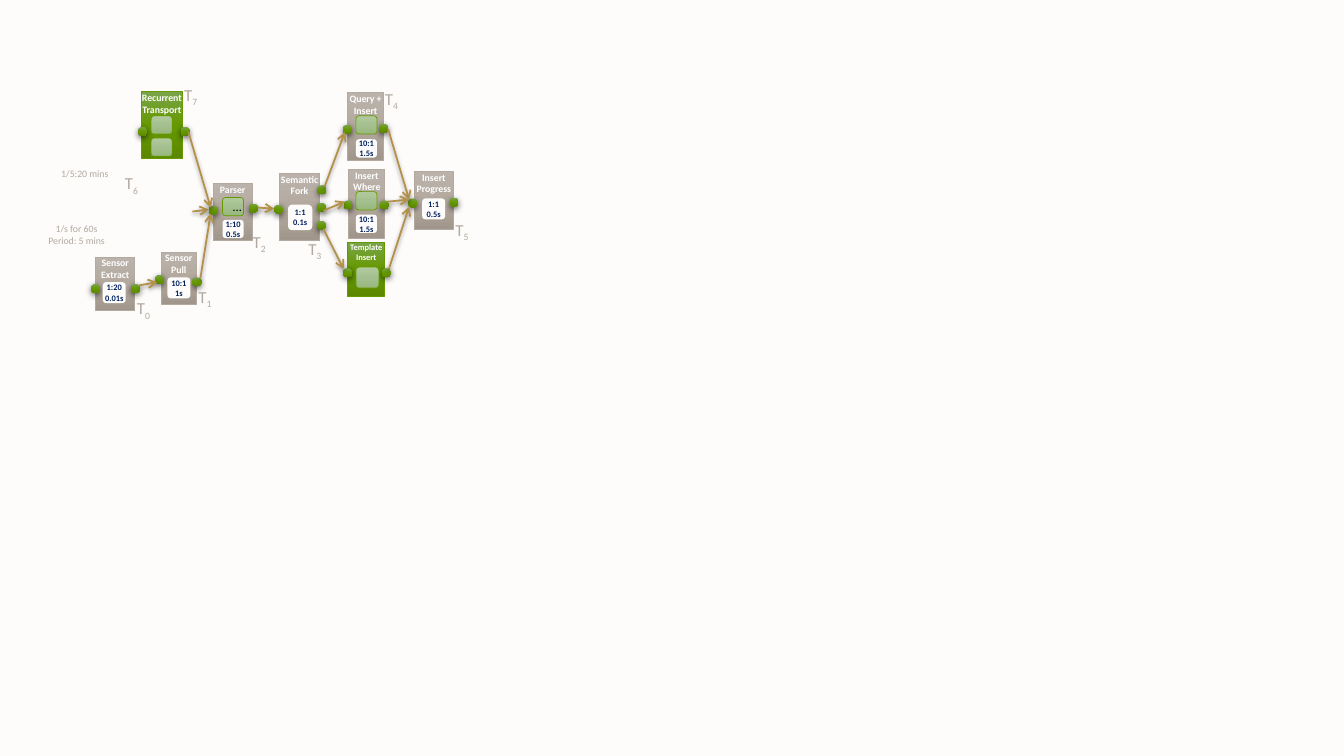
from lxml import etree
from pptx import Presentation
from pptx.dml.color import RGBColor as Rgb
from pptx.enum.shapes import MSO_CONNECTOR as Link, MSO_SHAPE as Form
from pptx.enum.text import MSO_ANCHOR as Anchor, MSO_AUTO_SIZE as Fit, PP_ALIGN as Align
from pptx.oxml.ns import qn
from pptx.util import Cm, Pt

FONT = "Calibri"
PAPER, NAVY, GOLD, WHITE = "FDFCFA", "002060", "B49048", "FFFFFF"
GRAY, GREEN = "B2A9A0", "669900"
# Gradient stops, top to bottom
STONE = ("BBB3AB", "B3A99F", "A0968C")
LEAF = ("79A44B", "669900", "5B8800")
MINT = ("B1CA9D", "A5C090", "97B87C")

DOT = 0.23
SMALL, LARGE = (0.53, 0.46), (0.58, 0.53)

# Title, left, top, width, height
STAGES = [
    ("Semantic Fork", 7.04, 4.37, 1.02, 1.7),
    ("Sensor Extract", 2.41, 6.48, 0.99, 1.35),
    ("Sensor Pull", 4.06, 6.35, 0.89, 1.32),
    ("Parser", 5.38, 4.62, 0.97, 1.45),
    ("Query + Insert", 8.76, 2.34, 0.91, 1.7),
    ("Insert Where", 8.79, 4.27, 0.91, 1.73),
    ("Insert Progress", 10.44, 4.32, 0.99, 1.47),
]
# Left and top of each port
PORTS = [
    (2.29, 7.16), (3.3, 7.16), (3.91, 6.93), (4.85, 6.99),
    (3.48, 3.2), (4.55, 3.2), (5.26, 5.18), (6.27, 5.13),
    (6.91, 5.16), (8, 4.67), (7.98, 5.11), (7.98, 5.56),
    (8.64, 3.15), (9.55, 3.12), (8.66, 5.05), (9.58, 5.05),
    (8.64, 6.76), (9.63, 6.76), (10.29, 5), (11.33, 4.98),
]
# Start x, y and end x, y
FLOWS = [
    (3.51, 7.19, 3.96, 7.11), (5.05, 7.01, 5.31, 5.38),
    (4.85, 5.33, 5.26, 5.28), (4.75, 3.33, 5.31, 5.23),
    (6.5, 5.23, 6.91, 5.26), (8.18, 4.7, 8.69, 3.33),
    (8.15, 5.31, 8.69, 5.08), (8.15, 5.77, 8.66, 6.78),
    (9.78, 3.25, 10.31, 5.03), (9.78, 5.08, 10.31, 5.03),
    (9.8, 6.78, 10.31, 5.21),
]
# Left, top, size
SLOTS = [
    (3.81, 2.92, SMALL), (3.81, 3.48, SMALL), (8.97, 2.92, SMALL),
    (8.97, 4.83, SMALL), (8.97, 6.73, LARGE),
]
# Ratio, time, left, top, size
RATES = [
    ("1:1", "0.1s", 7.26, 5.16, (0.61, 0.64)),
    ("1:10", "0.5s", 5.61, 5.54, SMALL),
    ("10:1", "1s", 4.22, 6.99, LARGE),
    ("1:20", "0.01s", 2.59, 7.11, LARGE),
    ("10:1", "1.5s", 8.97, 3.51, SMALL),
    ("10:1", "1.5s", 8.97, 5.41, SMALL),
    ("1:1", "0.5s", 10.64, 5, LARGE),
]
# Left and top of T0 to T7
TAGS = [
    (3.2, 7.39), (4.75, 7.09), (6.12, 5.72), (7.52, 5.89),
    (9.45, 2.11), (11.23, 5.41), (2.9, 4.24), (4.39, 2.01),
]


def tint(code):
    return Rgb.from_string(code)


def shade(shape, stops):
    """Fill a shape with a gradient that runs from top to bottom."""
    shape.fill.background()
    props = shape._element.spPr
    grad = etree.Element(qn("a:gradFill"), rotWithShape="1")
    chain = etree.SubElement(grad, qn("a:gsLst"))
    for place, code in zip((0, 50000, 100000), stops):
        stop = etree.SubElement(chain, qn("a:gs"), pos=str(place))
        etree.SubElement(stop, qn("a:srgbClr"), val=code)
    etree.SubElement(grad, qn("a:lin"), ang="5400000", scaled="0")
    props.replace(props.find(qn("a:noFill")), grad)


def cast(effects, alpha, blur, drop):
    """Add a black shadow that falls straight down."""
    outer = etree.SubElement(
        effects, qn("a:outerShdw"), blurRad=str(Pt(blur)), dist=str(Pt(drop)),
        dir="5400000", algn="ctr", rotWithShape="0")
    black = etree.SubElement(outer, qn("a:srgbClr"), val="000000")
    etree.SubElement(black, qn("a:alpha"), val=str(alpha * 1000))


def style(para, size, code, bold=False, align=Align.CENTER):
    para.alignment = align
    font = para.font
    font.name, font.size, font.bold = FONT, Pt(size), bold
    font.color.rgb = tint(code)


def write(frame, lines, size, code, bold=False):
    frame.text = "\n".join(lines)
    for para in frame.paragraphs:
        style(para, size, code, bold)


def add_form(slide, form, left, top, wide, high, fill, edge=None):
    shape = slide.shapes.add_shape(form, Cm(left), Cm(top), Cm(wide), Cm(high))
    shape.shadow.inherit = False
    if isinstance(fill, str):
        shape.fill.solid()
        shape.fill.fore_color.rgb = tint(fill)
    else:
        shade(shape, fill)
    if edge:
        shape.line.color.rgb = tint(edge)
        shape.line.width = Pt(0.5)
    else:
        shape.line.fill.background()
    return shape


def trim(shape, anchor):
    frame = shape.text_frame
    frame.margin_left = frame.margin_right = 0
    frame.margin_top = frame.margin_bottom = 0
    frame.vertical_anchor = anchor
    return frame


def add_stage(slide, title, left, top, wide, high, fill=STONE, edge=GRAY, size=7):
    box = add_form(slide, Form.RECTANGLE, left, top, wide, high, fill, edge)
    write(trim(box, Anchor.TOP), [title], size, WHITE, True)


def add_port(slide, left, top):
    dot = add_form(slide, Form.OVAL, left, top, DOT, DOT, LEAF)
    cast(dot._element.spPr.find(qn("a:effectLst")), 63, 4.5, 1.5)


def add_flow(slide, *ends):
    flow = slide.shapes.add_connector(Link.STRAIGHT, *map(Cm, ends))
    flow.line.color.rgb = tint(GOLD)
    flow.line.width = Pt(1.25)
    props = flow._element.spPr
    etree.SubElement(props.find(qn("a:ln")), qn("a:tailEnd"), type="arrow")
    cast(etree.SubElement(props, qn("a:effectLst")), 38, 3.1, 1.6)


def add_slot(slide, left, top, size):
    return add_form(slide, Form.ROUNDED_RECTANGLE, left, top, *size, MINT, GREEN)


def add_rate(slide, ratio, time, left, top, size):
    box = add_form(slide, Form.ROUNDED_RECTANGLE, left, top, *size, PAPER)
    write(trim(box, Anchor.MIDDLE), [ratio, time], 6, NAVY, True)


def add_text(slide, left, top, wide, high):
    frame = slide.shapes.add_textbox(Cm(left), Cm(top), Cm(wide), Cm(high)).text_frame
    frame.word_wrap = False
    frame.auto_size = Fit.SHAPE_TO_FIT_TEXT
    return frame


def add_tag(slide, index, left, top):
    para = add_text(slide, left, top, 0.86, 0.76).paragraphs[0]
    para.add_run().text = "T"
    low = para.add_run()
    low.text = str(index)
    low._r.get_or_add_rPr().set("baseline", "-25000")
    style(para, 12, GRAY, align=Align.LEFT)


def main():
    deck = Presentation()
    deck.slide_width, deck.slide_height = Cm(33.87), Cm(19.05)
    slide = deck.slides.add_slide(deck.slide_layouts[6])
    slide.background.fill.solid()
    slide.background.fill.fore_color.rgb = tint(PAPER)

    # Stages, the two green ones last
    for stage in STAGES:
        add_stage(slide, *stage)
    add_stage(slide, "Recurrent Transport", 3.56, 2.31, 1.04, 1.68, LEAF, GREEN)
    add_stage(slide, "Template Insert", 8.76, 6.1, 0.94, 1.37, LEAF, GREEN, 6)

    # Ports and the flows between them
    for port in PORTS:
        add_port(slide, *port)
    for flow in FLOWS:
        add_flow(slide, *flow)

    # Slots and rates inside the stages
    for slot in SLOTS:
        add_slot(slide, *slot)
    more = add_slot(slide, 5.61, 4.98, SMALL)
    write(more.text_frame, ["…"], 9, "000000")
    for rate in RATES:
        add_rate(slide, *rate)

    # Tags and notes
    for index, spot in enumerate(TAGS):
        add_tag(slide, index, *spot)
    write(add_text(slide, 0.94, 5.49, 1.98, 0.86), ["1/s for 60s", "Period: 5 mins"], 7, GRAY)
    write(add_text(slide, 1.27, 4.11, 1.73, 0.56), ["1/5:20 mins"], 7, GRAY)

    deck.save("out.pptx")


if __name__ == "__main__":
    main()
